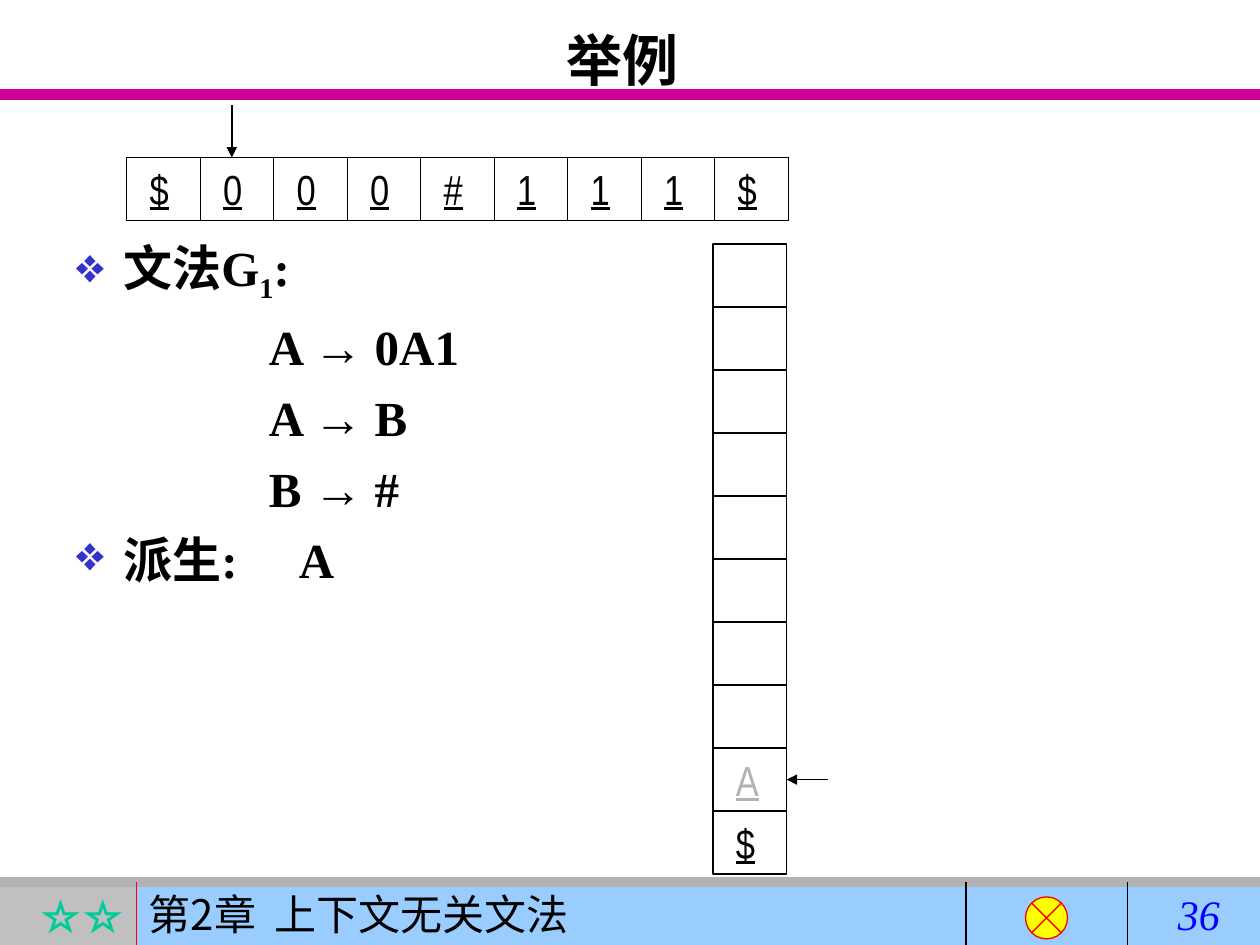
"""Build a slide that shows a pushdown automaton reading its tape while deriving a grammar."""
import pptx
import pptx.util
import pptx.dml.color
import pptx.enum.shapes
import pptx.enum.text
import pptx.oxml
import pptx.oxml.ns

Pt = pptx.util.Pt
RGBColor = pptx.dml.color.RGBColor
MSO_SHAPE = pptx.enum.shapes.MSO_SHAPE
PP_ALIGN = pptx.enum.text.PP_ALIGN
MIDDLE = pptx.enum.text.MSO_ANCHOR.MIDDLE

BLACK = RGBColor(0x00, 0x00, 0x00)
MAGENTA = RGBColor(0xCC, 0x00, 0x99)
SILVER = RGBColor(0xC0, 0xC0, 0xC0)
GRAY = RGBColor(0xB2, 0xB2, 0xB2)
SKY = RGBColor(0x99, 0xCC, 0xFF)
GREEN = RGBColor(0x00, 0xCC, 0x99)
RED = RGBColor(0xFF, 0x00, 0x00)
YELLOW = RGBColor(0xFF, 0xFF, 0x00)
BLUE = RGBColor(0x00, 0x00, 0xFF)
SERIF, SANS, NARROW, CHINESE = "Times New Roman", "Arial", "Arial Narrow", "Noto Sans CJK SC"

presentation = pptx.Presentation()
presentation.slide_width, presentation.slide_height = Pt(720), Pt(540)
slide = presentation.slides.add_slide(presentation.slide_layouts[6])
shapes = slide.shapes


def add_text(paragraph, text, size=24, font=SERIF, color=BLACK, bold=False, italic=False,
             underline=False, baseline=0, spacing=0):
    run = paragraph.add_run()
    run.text = text
    run.font.size, run.font.name = Pt(size), font
    run.font.bold, run.font.italic, run.font.underline = bold, italic, underline
    run.font.color.rgb = color
    properties = run._r.get_or_add_rPr()
    if baseline:
        properties.set("baseline", str(baseline * 1000))
    if spacing:
        properties.set("spc", str(spacing * 100))


def add_line(x1, y1, x2, y2, color=BLACK, width=0.75, arrow=False):
    line = shapes.add_connector(pptx.enum.shapes.MSO_CONNECTOR.STRAIGHT,
                                Pt(x1), Pt(y1), Pt(x2), Pt(y2))
    line.line.color.rgb, line.line.width = color, Pt(width)
    if arrow:
        line.line._get_or_add_ln().append(pptx.oxml.parse_xml(
            f'<a:tailEnd {pptx.oxml.ns.nsdecls("a")} type="triangle"/>'))
    line._element.spPr.append(pptx.oxml.parse_xml(
        f'<a:effectLst {pptx.oxml.ns.nsdecls("a")}/>'))
    return line


add_line(0, 54, 720, 54, MAGENTA, 6)

footer = []
for left, width, fill, align in [(0, 78, SILVER, PP_ALIGN.RIGHT), (78, 642, SKY, PP_ALIGN.LEFT)]:
    band = shapes.add_shape(MSO_SHAPE.RECTANGLE, Pt(left), Pt(504), Pt(width), Pt(36))
    band.shadow.inherit = False
    band.fill.solid()
    band.fill.fore_color.rgb = fill
    band.line.fill.background()
    band.text_frame.vertical_anchor = MIDDLE
    band.text_frame.paragraphs[0].alignment = align
    footer.append(band.text_frame.paragraphs[0])
add_text(footer[0], "☆☆", color=GREEN, bold=True)
add_text(footer[1], "第2章", font=CHINESE)
add_text(footer[1], " ", font=CHINESE, spacing=5)
add_text(footer[1], "上下文无关文法", font=CHINESE)

add_line(0, 504, 720, 504, GRAY, 6)
for x, color in [(78, RED), (552, BLACK), (644.5, BLACK)]:
    add_line(x, 504, x, 540, color)

junction = shapes.add_shape(MSO_SHAPE.FLOWCHART_SUMMING_JUNCTION,
                            Pt(586), Pt(512.5), Pt(24), Pt(24))
junction.shadow.inherit = False
junction.fill.solid()
junction.fill.fore_color.rgb = YELLOW
junction.line.color.rgb, junction.line.width = RED, Pt(0.75)

page_number = shapes.add_textbox(Pt(666), Pt(504), Pt(54), Pt(36)).text_frame
page_number.word_wrap = True
page_number.vertical_anchor = MIDDLE
add_text(page_number.paragraphs[0], "36", color=BLUE, italic=True)

title = shapes.add_textbox(Pt(49.5), Pt(11), Pt(612), Pt(90)).text_frame
title.word_wrap = True
title.paragraphs[0].alignment = PP_ALIGN.CENTER
add_text(title.paragraphs[0], "举例", size=32, bold=True)

body = shapes.add_textbox(Pt(36.5), Pt(132), Pt(401), Pt(366)).text_frame
body.word_wrap = True
heading = {"size": 28, "bold": True}
grammar = [
    (True, [("文法G", {}), ("1", {"baseline": -25}), (":", {})]),
    *[(False, [(f"{left} ", {}), ("→", {"font": SANS}), (f" {right}", {})])
      for left, right in [("A", "0A1"), ("A", "B"), ("B", "#")]],
    (True, [("派生:", {}), (" ", {"spacing": 28}), ("A", {})]),
]
for index, (bulleted, runs) in enumerate(grammar):
    paragraph = body.add_paragraph() if index else body.paragraphs[0]
    paragraph.space_before = Pt(7 if index else 0)
    properties = paragraph._p.get_or_add_pPr()
    properties.set("marL", str(Pt(27 if bulleted else 110)))
    properties.set("indent", str(Pt(-27 if bulleted else 0)))
    if bulleted:
        for bullet in ('buClr {}><a:srgbClr val="3333CC"/></a:buClr>', 'buChar {} char="❖"/>'):
            properties.append(pptx.oxml.parse_xml(
                "<a:" + bullet.format(pptx.oxml.ns.nsdecls("a"))))
    for text, style in runs:
        add_text(paragraph, text, **heading, **style)

tape = [(72.5 + 42 * column, 90, symbol, BLACK) for column, symbol in enumerate("$000#111$")]
stack = [(407.5, 139.5 + 36 * row, "", BLACK) for row in range(8)]
stack += [(407.5, 427.5, "A", GRAY), (407.5, 463.5, "$", BLACK)]
cells = []
for left, top, symbol, color in tape + stack:
    cell = shapes.add_shape(MSO_SHAPE.RECTANGLE, Pt(left), Pt(top), Pt(42), Pt(36))
    cell.shadow.inherit = False
    cell.fill.background()
    cell.line.color.rgb, cell.line.width = BLACK, Pt(0.75)
    cells.append(cell)
    if symbol:
        cell.text_frame.margin_left, cell.text_frame.margin_right = Pt(13), Pt(0)
        cell.text_frame.vertical_anchor = MIDDLE
        cell.text_frame.paragraphs[0].alignment = PP_ALIGN.LEFT
        add_text(cell.text_frame.paragraphs[0], symbol, font=NARROW, color=color, underline=True)

add_line(132.5, 60, 132.5, 90, arrow=True)
stack_pointer = add_line(473, 445.5, 449.5, 445.5, arrow=True)
stack_pointer.end_connect(cells[-2], 3)

presentation.save("out.pptx")
